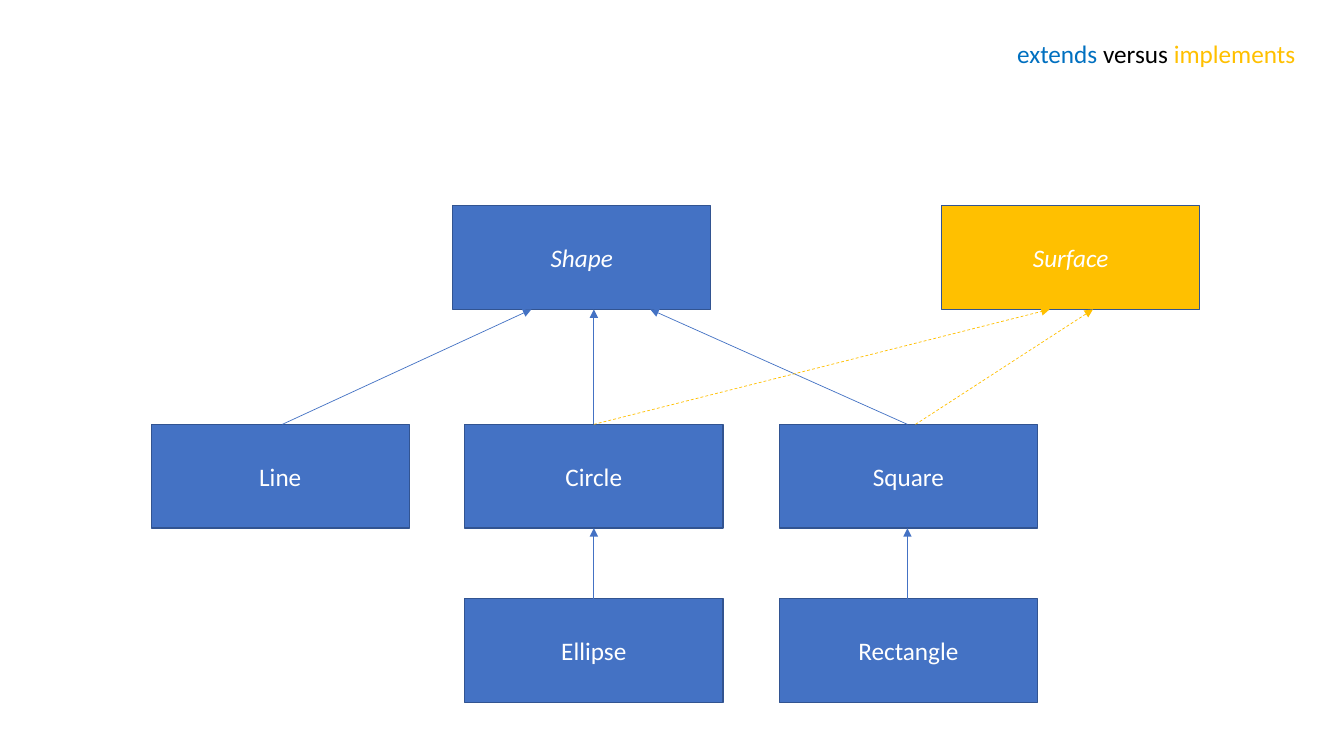
from pptx import Presentation
from pptx import util as u
from pptx.dml.color import RGBColor
from pptx.enum import dml, shapes, text
from pptx.oxml.ns import qn
from lxml import etree

BLUE = RGBColor(0x44, 0x72, 0xC4)
OUTLINE = RGBColor(0x32, 0x54, 0x91)
GOLD = RGBColor(0xFF, 0xC0, 0x00)
TITLE_BLUE = RGBColor(0x00, 0x70, 0xC0)
BLACK = RGBColor(0, 0, 0)
WHITE = RGBColor(0xFF, 0xFF, 0xFF)
FONT = "Calibri"
FONT_SIZE = u.Pt(18)

BOX_WIDTH, BOX_HEIGHT = 2.56, 1.03
PARENT_TOP, CHILD_TOP, GRANDCHILD_TOP = 2.04, 4.21, 5.94
LINE_LEFT, CIRCLE_LEFT, SQUARE_LEFT = 1.5, 4.61, 7.73

TITLE = [("extends", TITLE_BLUE), (" versus ", BLACK), ("implements", GOLD)]

# name: (left, top, fill, abstract)
TYPES = {
    "Shape": (4.49, PARENT_TOP, BLUE, True),
    "Surface": (9.34, PARENT_TOP, GOLD, True),
    "Line": (LINE_LEFT, CHILD_TOP, BLUE, False),
    "Circle": (CIRCLE_LEFT, CHILD_TOP, BLUE, False),
    "Square": (SQUARE_LEFT, CHILD_TOP, BLUE, False),
    "Ellipse": (CIRCLE_LEFT, GRANDCHILD_TOP, BLUE, False),
    "Rectangle": (SQUARE_LEFT, GRANDCHILD_TOP, BLUE, False),
}

# (subtype, supertype, x at the subtype, x at the supertype)
EXTENDS = [
    ("Line", "Shape", 2.8, 5.27),
    ("Circle", "Shape", 5.89, 5.89),
    ("Square", "Shape", 9, 6.45),
    ("Ellipse", "Circle", 5.89, 5.89),
    ("Rectangle", "Square", 9, 9),
]
IMPLEMENTS = [
    ("Circle", "Surface", 5.89, 10.41),
    ("Square", "Surface", 9.08, 10.84),
]


def add_title(slide):
    """Write the heading with one colour per run."""
    box = slide.shapes.add_textbox(*map(u.Inches, (9.99, 0.33, 3, 0.4)))
    box.text_frame.word_wrap = True
    box.text_frame.auto_size = text.MSO_AUTO_SIZE.SHAPE_TO_FIT_TEXT
    paragraph = box.text_frame.paragraphs[0]
    paragraph.font.size, paragraph.font.name = FONT_SIZE, FONT
    for wording, color in TITLE:
        run = paragraph.add_run()
        run.text = wording
        run.font.color.rgb = color


def add_type(slide, name, left, top, fill, abstract):
    """Draw the box of one type, its name in italics if abstract."""
    shape = slide.shapes.add_shape(
        shapes.MSO_SHAPE.RECTANGLE,
        *map(u.Inches, (left, top, BOX_WIDTH, BOX_HEIGHT)))
    shape.shadow.inherit = False
    shape.fill.solid()
    shape.fill.fore_color.rgb = fill
    shape.line.color.rgb = OUTLINE
    shape.line.width = u.Pt(1)
    shape.text_frame.vertical_anchor = text.MSO_ANCHOR.MIDDLE
    paragraph = shape.text_frame.paragraphs[0]
    paragraph.text = name
    paragraph.alignment = text.PP_ALIGN.CENTER
    paragraph.font.size, paragraph.font.name = FONT_SIZE, FONT
    paragraph.font.color.rgb = WHITE
    if abstract:
        paragraph.font.italic = True


def add_arrow(slide, subtype, supertype, start_x, end_x, color, dashed):
    """Point from the top of a subtype to the bottom of its supertype."""
    start_y = TYPES[subtype][1]
    end_y = TYPES[supertype][1] + BOX_HEIGHT
    arrow = slide.shapes.add_connector(
        shapes.MSO_CONNECTOR.STRAIGHT,
        *map(u.Inches, (start_x, start_y, end_x, end_y)))
    arrow.line.color.rgb = color
    arrow.line.width = u.Pt(0.5)
    if dashed:
        arrow.line.dash_style = dml.MSO_LINE.DASH
    properties = arrow.element.spPr
    etree.SubElement(properties.find(qn("a:ln")), qn("a:tailEnd"), type="triangle")
    etree.SubElement(properties, qn("a:effectLst"))


presentation = Presentation()
presentation.slide_width = u.Inches(13.33)
presentation.slide_height = u.Inches(7.5)
slide = presentation.slides.add_slide(presentation.slide_layouts[6])

add_title(slide)
for name, details in TYPES.items():
    add_type(slide, name, *details)
for relation in EXTENDS:
    add_arrow(slide, *relation, BLUE, False)
for relation in IMPLEMENTS:
    add_arrow(slide, *relation, GOLD, True)

presentation.save("out.pptx")
